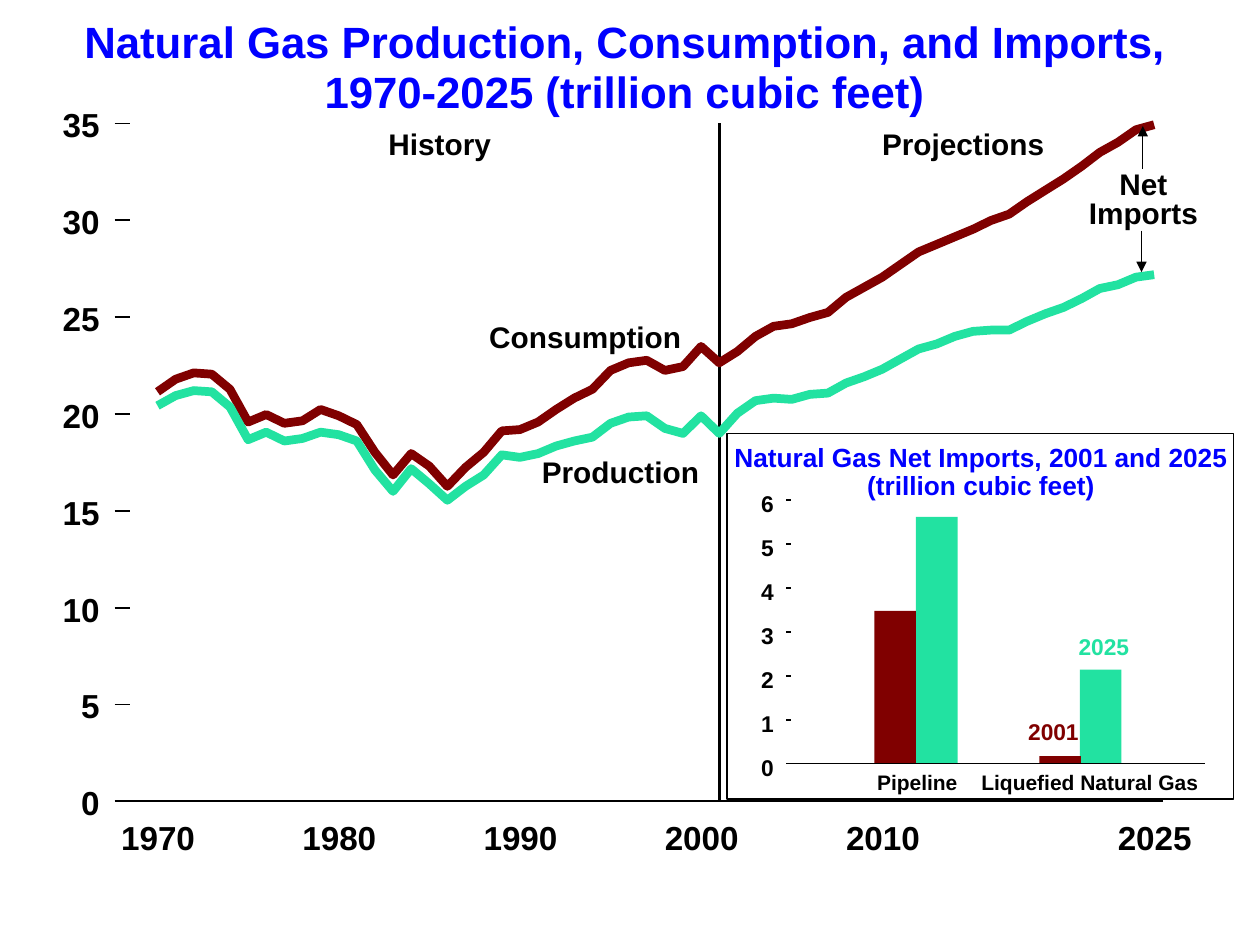
from dataclasses import dataclass

import pptx
import pptx.dml.color
import pptx.enum.shapes
import pptx.enum.text
import pptx.util
from lxml import etree
from pptx.util import Inches

BLACK, BLUE, MAROON, GREEN = "000000", "0000FF", "800000", "22E2A1"
ALIGN = pptx.enum.text.PP_ALIGN
DRAWING = "http://schemas.openxmlformats.org/drawingml/2006/main"

# Heights of the two curves, one point a year from 1970 to 2025
CONSUMPTION = [
    3.11, 3.01, 2.96, 2.97, 3.09, 3.35, 3.29, 3.36, 3.34, 3.25, 3.30, 3.37, 3.59, 3.77,
    3.60, 3.70, 3.86, 3.71, 3.59, 3.42, 3.41, 3.35, 3.25, 3.16, 3.09, 2.94, 2.88, 2.86,
    2.94, 2.91, 2.75, 2.88, 2.79, 2.67, 2.59, 2.57, 2.52, 2.48, 2.36, 2.28, 2.20, 2.10,
    2.00, 1.94, 1.88, 1.82, 1.75, 1.70, 1.60, 1.51, 1.42, 1.32, 1.21, 1.13, 1.03, 0.99]
PRODUCTION = [
    3.22, 3.14, 3.10, 3.11, 3.23, 3.49, 3.43, 3.50, 3.48, 3.43, 3.45, 3.50, 3.73, 3.90,
    3.72, 3.84, 3.97, 3.86, 3.77, 3.61, 3.63, 3.60, 3.54, 3.50, 3.47, 3.36, 3.31, 3.30,
    3.40, 3.44, 3.30, 3.44, 3.28, 3.18, 3.16, 3.17, 3.13, 3.12, 3.04, 2.99, 2.93, 2.85,
    2.77, 2.73, 2.67, 2.63, 2.62, 2.62, 2.55, 2.49, 2.44, 2.37, 2.29, 2.26, 2.20, 2.18]


@dataclass
class Label:
    text: str
    left: float
    top: float
    width: float
    height: float
    size: float
    color: str = BLACK
    align: ALIGN = ALIGN.CENTER
    spacing: float = 1.0


@dataclass
class Axis:
    tick_left: float
    left: float
    right: float
    base: float
    top: float
    values: range
    label_right: float
    label_rise: float
    digit_width: float
    label_height: float
    size: float

    def height_of(self, value: float) -> float:
        return self.base - (self.base - self.top) * value / self.values[-1]


@dataclass
class Bar:
    left: float
    value: float
    color: str


MAIN_AXIS = Axis(0.91, 1.03, 9.23, 6.36, 0.98, range(0, 36, 5), 0.79, 0.15, 0.15, 0.32, 19)
INSET_AXIS = Axis(6.24, 6.28, 9.56, 6.06, 3.97, range(7), 6.14, 0.08, 0.1, 0.22, 13)
FIRST_YEAR, YEARS = 1970, (1970, 1980, 1990, 2000, 2010, 2025)
CURVE_LEFT, YEAR_STEP = 1.25, 7.91 / 55
BAR_WIDTH = 0.33
# Extra box width that keeps each line of text whole, placed by alignment
SLACK = 0.08
SLACK_LEFT = {ALIGN.LEFT: 0, ALIGN.CENTER: SLACK / 2, ALIGN.RIGHT: SLACK}

MAIN_LABELS = [
    Label("History", 3.08, 1, 0.82, 0.28, 17),
    Label("Projections", 7, 1, 1.29, 0.28, 17),
    Label("Production", 4.3, 3.6, 1.25, 0.28, 17),
    Label("Net\nImports", 8.64, 1.37, 0.87, 0.45, 17, spacing=0.8),
    Label("Consumption", 3.88, 2.53, 1.53, 0.28, 17),
]
INSET_LABELS = [
    Label("Pipeline", 6.96, 6.11, 0.64, 0.2, 12),
    Label("Liquefied Natural Gas", 7.79, 6.11, 1.72, 0.2, 12),
    Label("2001", 8.16, 5.7, 0.4, 0.22, 13, MAROON, ALIGN.LEFT),
    Label("2025", 8.56, 5.02, 0.4, 0.22, 13, GREEN, ALIGN.LEFT),
    Label("Natural Gas Net Imports, 2001 and 2025\n(trillion cubic feet)",
          5.83, 3.53, 3.91, 0.45, 15, BLUE, spacing=0.9),
]
BARS = [Bar(7.27, 5.62, GREEN), Bar(8.57, 2.14, GREEN),
        Bar(6.94, 3.48, MAROON), Bar(8.25, 0.17, MAROON)]


def rgb(color: str) -> pptx.dml.color.RGBColor:
    return pptx.dml.color.RGBColor.from_string(color)


def set_all(target, values: dict) -> None:
    for name, value in values.items():
        setattr(target, name, value)


def add_label(page, label: Label) -> None:
    box = page.shapes.add_textbox(Inches(label.left - SLACK_LEFT[label.align]),
                                  Inches(label.top), Inches(label.width + SLACK),
                                  Inches(label.height))
    frame = box.text_frame
    set_all(frame, {"margin_left": 0, "margin_right": 0, "margin_top": 0,
                    "margin_bottom": 0, "word_wrap": False,
                    "auto_size": pptx.enum.text.MSO_AUTO_SIZE.NONE})
    frame.text = label.text
    for para in frame.paragraphs:
        set_all(para, {"alignment": label.align, "line_spacing": label.spacing})
        for span in para.runs:
            set_all(span.font, {"name": "Arial", "size": pptx.util.Pt(label.size),
                                "bold": True})
            span.font.color.rgb = rgb(label.color)


def add_line(page, start: tuple, end: tuple, weight: float = 1, arrow: bool = False) -> None:
    line = page.shapes.add_connector(pptx.enum.shapes.MSO_CONNECTOR.STRAIGHT,
                                     *map(Inches, start + end))
    line.line.color.rgb = rgb(BLACK)
    line.line.width = pptx.util.Pt(weight)
    if arrow:
        etree.SubElement(line.line._get_or_add_ln(), f"{{{DRAWING}}}tailEnd", type="triangle")
    etree.SubElement(line._element.spPr, f"{{{DRAWING}}}effectLst")


def add_curve(page, heights: list, color: str) -> None:
    points = [(Inches(CURVE_LEFT + YEAR_STEP * year), Inches(height))
              for year, height in enumerate(heights)]
    builder = page.shapes.build_freeform(*points[0])
    builder.add_line_segments(points[1:], close=False)
    curve = builder.convert_to_shape()
    curve.shadow.inherit = False
    curve.fill.background()
    curve.line.color.rgb = rgb(color)
    curve.line.width = pptx.util.Pt(5)


def add_rectangle(page, left: float, top: float, width: float, height: float):
    shape = page.shapes.add_shape(pptx.enum.shapes.MSO_SHAPE.RECTANGLE, Inches(left),
                                  Inches(top), Inches(width), Inches(height))
    shape.shadow.inherit = False
    return shape


def add_bar(page, bar: Bar) -> None:
    top = INSET_AXIS.height_of(bar.value)
    shape = add_rectangle(page, bar.left, top, BAR_WIDTH, INSET_AXIS.base - top)
    shape.fill.solid()
    shape.fill.fore_color.rgb = rgb(bar.color)
    shape.line.fill.background()


def add_axis(page, axis: Axis) -> None:
    for value in axis.values:
        height = axis.height_of(value)
        add_line(page, (axis.tick_left, height), (axis.left, height))
        width = axis.digit_width * len(str(value))
        add_label(page, Label(str(value), axis.label_right - width, height - axis.label_rise,
                              width, axis.label_height, axis.size, align=ALIGN.RIGHT))
    add_line(page, (axis.left, axis.base), (axis.right, axis.base))


def main() -> None:
    deck = pptx.Presentation()
    set_all(deck, {"slide_width": Inches(10), "slide_height": Inches(7.5)})
    page = deck.slides.add_slide(deck.slide_layouts[6])

    # Title
    add_label(page, Label("Natural Gas Production, Consumption, and Imports,\n"
                          "1970-2025 (trillion cubic feet)",
                          0.67, 0.15, 8.57, 0.79, 25, BLUE, spacing=0.95))

    # Main graph, with the line between history and projections
    add_line(page, (5.71, 0.98), (5.71, 6.36), 1.25)
    add_curve(page, CONSUMPTION, MAROON)
    add_curve(page, PRODUCTION, GREEN)
    add_axis(page, MAIN_AXIS)
    for year in YEARS:
        center = CURVE_LEFT + YEAR_STEP * (year - FIRST_YEAR)
        add_label(page, Label(str(year), center - 0.29, 6.49, 0.59, 0.32, 19))
    for label in MAIN_LABELS:
        add_label(page, label)

    # Inset bar graph
    for bar in BARS:
        add_bar(page, bar)
    add_axis(page, INSET_AXIS)
    for label in INSET_LABELS:
        add_label(page, label)
    border = add_rectangle(page, 5.77, 3.44, 4.02, 2.9)
    border.fill.background()
    border.line.color.rgb = rgb(BLACK)
    border.line.width = pptx.util.Pt(1)

    # Net imports arrows
    add_line(page, (9.07, 1.34), (9.07, 1), 0.75, arrow=True)
    add_line(page, (9.06, 1.83), (9.06, 2.16), 0.75, arrow=True)

    deck.save("out.pptx")


if __name__ == "__main__":
    main()
